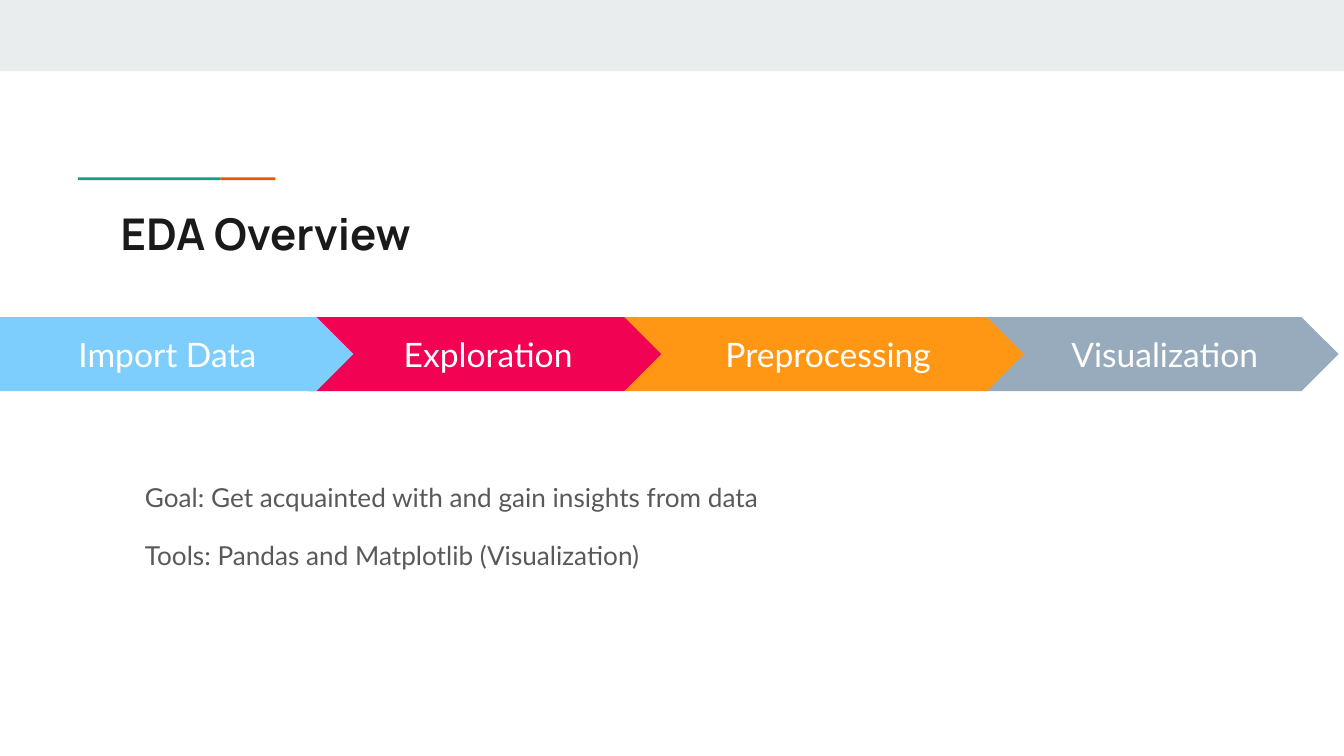
from pptx import Presentation
from pptx.dml.color import RGBColor
from pptx.enum.shapes import MSO_SHAPE
from pptx.enum.text import MSO_ANCHOR, PP_ALIGN
from pptx.util import Inches, Pt

COLORS = {
    "band": "E9EDEE",
    "green": "1A9988",
    "orange": "EB5600",
    "title": "1A1A1A",
    "body": "595959",
    "white": "FFFFFF",
    "import": "7ECEFD",
    "explore": "F20253",
    "preprocess": "FF9715",
    "visualize": "97ABBC",
}


def add_filled_shape(kind, left, top, width, height, color):
    shape = slide.shapes.add_shape(
        kind, Inches(left), Inches(top), Inches(width), Inches(height)
    )
    shape.shadow.inherit = False
    shape.fill.solid()
    shape.fill.fore_color.rgb = RGBColor.from_string(COLORS[color])
    shape.line.fill.background()
    return shape


def write_text(shape, lines, anchor, font_format, color, paragraph_format, left_inset=0.1):
    frame = shape.text_frame
    frame_format = {
        "word_wrap": True,
        "vertical_anchor": anchor,
        "margin_left": Inches(left_inset),
        "margin_right": Inches(0.1),
        "margin_top": Inches(0.1),
        "margin_bottom": Inches(0.1),
    }
    for name, value in frame_format.items():
        setattr(frame, name, value)
    frame.text = "\n".join(lines)
    for paragraph in frame.paragraphs:
        for name, value in paragraph_format.items():
            setattr(paragraph, name, value)
        font = paragraph.runs[0].font
        for name, value in font_format.items():
            setattr(font, name, value)
        font.color.rgb = RGBColor.from_string(COLORS[color])


presentation = Presentation()
presentation.slide_width = Inches(10)
presentation.slide_height = Inches(10) * 9 // 16
slide = presentation.slides.add_slide(presentation.slide_layouts[6])

add_filled_shape(MSO_SHAPE.RECTANGLE, 0, 0, 10, 0.53, "band")
for left, width, color in [(1.64, 0.41, "orange"), (0.58, 1.06, "green")]:
    add_filled_shape(MSO_SHAPE.RECTANGLE, left, 1.32, width, 0.02, color)

title = slide.shapes.add_textbox(Inches(0.8), Inches(1.44), Inches(8.41), Inches(0.59))
write_text(
    title,
    ["EDA Overview"],
    MSO_ANCHOR.TOP,
    {"name": "Manrope", "size": Pt(23.4), "bold": True},
    "title",
    {"alignment": PP_ALIGN.LEFT},
)

steps = [
    ("Visualization", 7.32, 2.64, "visualize", 0.29),
    ("Preprocessing", 4.65, 2.97, "preprocess", 0.29),
    ("Exploration", 2.29, 2.63, "explore", 0.29),
    ("Import Data", 0, 2.63, "import", 0.1),
]
for label, left, width, color, left_inset in steps:
    arrow = add_filled_shape(MSO_SHAPE.PENTAGON, left, 2.36, width, 0.55, color)
    arrow.adjustments[0] = 0.5
    write_text(
        arrow,
        [label],
        MSO_ANCHOR.MIDDLE,
        {"name": "Lato", "size": Pt(18)},
        "white",
        {"alignment": PP_ALIGN.CENTER},
        left_inset,
    )

body = slide.shapes.add_textbox(Inches(0.98), Inches(3.07), Inches(7.07), Inches(1.28))
write_text(
    body,
    [
        "Goal: Get acquainted with and gain insights from data",
        "Tools: Pandas and Matplotlib (Visualization)",
    ],
    MSO_ANCHOR.BOTTOM,
    {"name": "Lato", "size": Pt(14)},
    "body",
    {"alignment": PP_ALIGN.LEFT, "line_spacing": 1.15},
)
closing_paragraph = body.text_frame.paragraphs[-1]
for name in ("space_before", "space_after"):
    setattr(closing_paragraph, name, Pt(12))

presentation.save("out.pptx")
